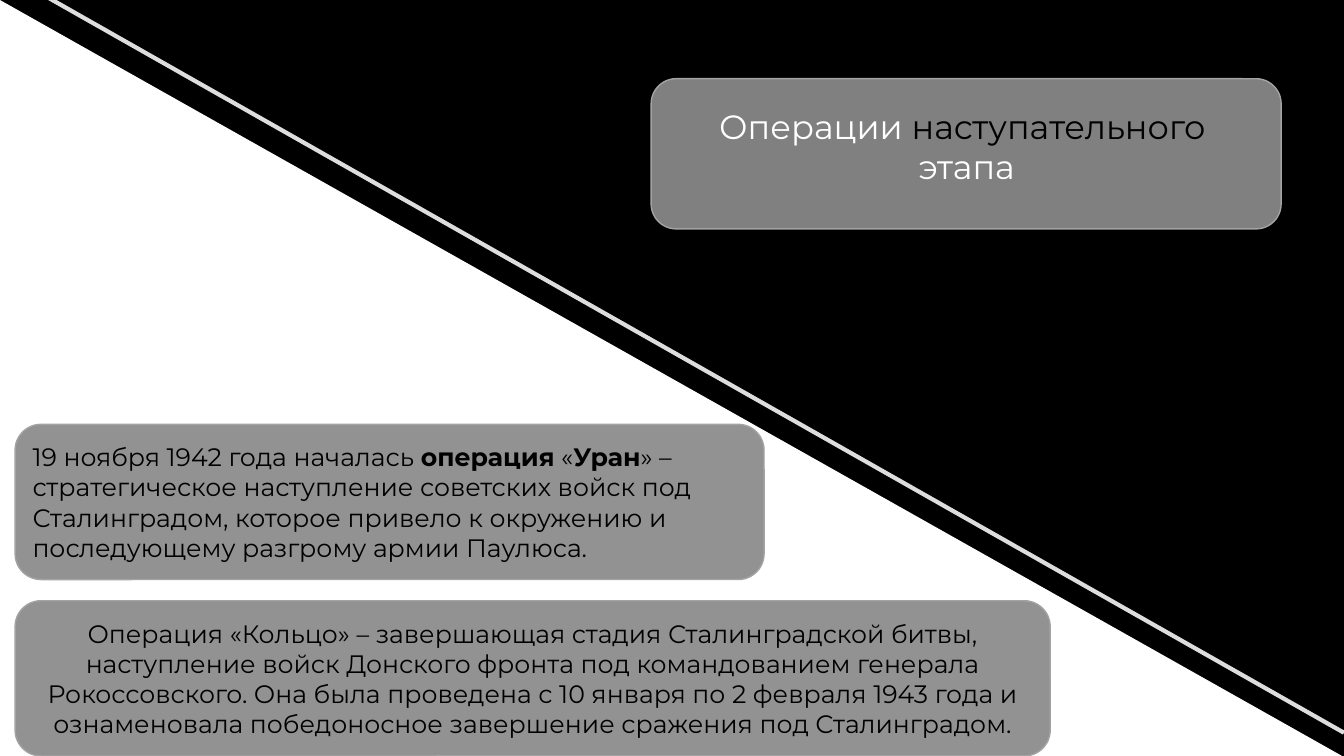
"""Build the slide on the operations of the offensive stage."""
from dataclasses import dataclass
from typing import Any

import lxml.etree
import pptx
import pptx.dml.color
import pptx.enum.shapes
import pptx.enum.text
import pptx.oxml.ns
import pptx.util

Pt = pptx.util.Pt
KIND = pptx.enum.shapes.MSO_SHAPE
ALIGN = pptx.enum.text.PP_ALIGN
HUES = {"black": "000000", "white": "FFFFFF", "dark": "262626",
        "edge": "A3A3A3", "stripe": "DDDDDD"}
CARD_LEFT, CARD_HIGH = 10.8, 110.9


@dataclass
class Run:
    text: str
    hue: str = "black"
    bold: bool = False


@dataclass
class Card:
    left: float
    top: float
    width: float
    height: float
    hue: str
    runs: tuple[Run, ...] = ()
    align: Any = ALIGN.LEFT


CARDS = (
    Card(465.1, 56.2, 450, 107.3, "white"),
    Card(CARD_LEFT, 303.1, 535, CARD_HIGH, "dark", (
        Run("19 ноября 1942 года началась "),
        Run("операция", bold=True),
        Run(" «"),
        Run("Уран", bold=True),
        Run("» – стратегическое наступление советских войск под Сталинградом, "
            "которое привело к окружению и последующему разгрому армии Паулюса."),
    )),
    Card(CARD_LEFT, 429.1, 739.4, CARD_HIGH, "dark", (
        Run("Операция «Кольцо» – завершающая стадия Сталинградской битвы, "
            "наступление войск Донского фронта под командованием генерала "
            "Рокоссовского. Она была проведена с 10 января по 2 февраля 1943 года и "
            "ознаменовала победоносное завершение сражения под Сталинградом."),
    ), ALIGN.CENTER),
)
TITLE = (
    (Run("Операции ", "white"), Run("наступательного ")),
    (Run("этапа", "white"),),
)


def tint(name: str) -> pptx.dml.color.RGBColor:
    return pptx.dml.color.RGBColor.from_string(HUES[name])


def style(target: Any, form: dict[str, Any]) -> None:
    for name, value in form.items():
        setattr(target, name, value)


def paint(fill: Any, hue: str) -> None:
    fill.solid()
    fill.fore_color.rgb = tint(hue)


def write(para: Any, runs: tuple[Run, ...], size: float, align: Any) -> None:
    para.alignment = align
    for item in runs:
        run = para.add_run()
        run.text = item.text
        style(run.font, {"name": "Montserrat", "size": Pt(size), "bold": item.bold})
        run.font.color.rgb = tint(item.hue)


def draw_card(slide: Any, card: Card) -> None:
    box = slide.shapes.add_shape(KIND.ROUNDED_RECTANGLE, Pt(card.left), Pt(card.top),
                                 Pt(card.width), Pt(card.height))
    box.shadow.inherit = False
    paint(box.fill, card.hue)
    shade = box.fill._xPr.find(".//" + pptx.oxml.ns.qn("a:srgbClr"))
    lxml.etree.SubElement(shade, pptx.oxml.ns.qn("a:alpha"), val="50000")
    paint(box.line.fill, "edge")
    box.line.width = Pt(1)
    if card.runs:
        style(box.text_frame, {"word_wrap": True,
                               "vertical_anchor": pptx.enum.text.MSO_ANCHOR.MIDDLE})
        write(box.text_frame.paragraphs[0], card.runs, 18, card.align)


def draw_field(slide: Any) -> None:
    field = slide.shapes.add_shape(KIND.RIGHT_TRIANGLE, 0, 0, Pt(980), Pt(552))
    field.shadow.inherit = False
    paint(field.fill, "white")
    field.line.fill.background()


def draw_title(slide: Any) -> None:
    frame = slide.shapes.add_textbox(Pt(489.6), Pt(72), Pt(401.8), Pt(65.5)).text_frame
    style(frame, {"word_wrap": False,
                  "auto_size": pptx.enum.text.MSO_AUTO_SIZE.SHAPE_TO_FIT_TEXT})
    for rank, runs in enumerate(TITLE):
        para = frame.add_paragraph() if rank else frame.paragraphs[0]
        write(para, runs, 24, ALIGN.CENTER)


def draw_stripe(slide: Any) -> None:
    stripe = slide.shapes.add_connector(pptx.enum.shapes.MSO_CONNECTOR.STRAIGHT,
                                        Pt(10.8), Pt(-15.1), Pt(960), Pt(523.4))
    paint(stripe.line.fill, "stripe")
    stripe.line.width = Pt(3)
    lxml.etree.SubElement(stripe._element.spPr, pptx.oxml.ns.qn("a:effectLst"))


def main() -> None:
    deck = pptx.Presentation()
    style(deck, {"slide_width": Pt(960), "slide_height": Pt(540)})
    slide = deck.slides.add_slide(deck.slide_layouts[6])
    paint(slide.background.fill, "black")
    draw_field(slide)
    head, *facts = CARDS
    draw_card(slide, head)
    draw_title(slide)
    for card in facts:
        draw_card(slide, card)
    draw_stripe(slide)
    deck.save("out.pptx")


if __name__ == "__main__":
    main()
